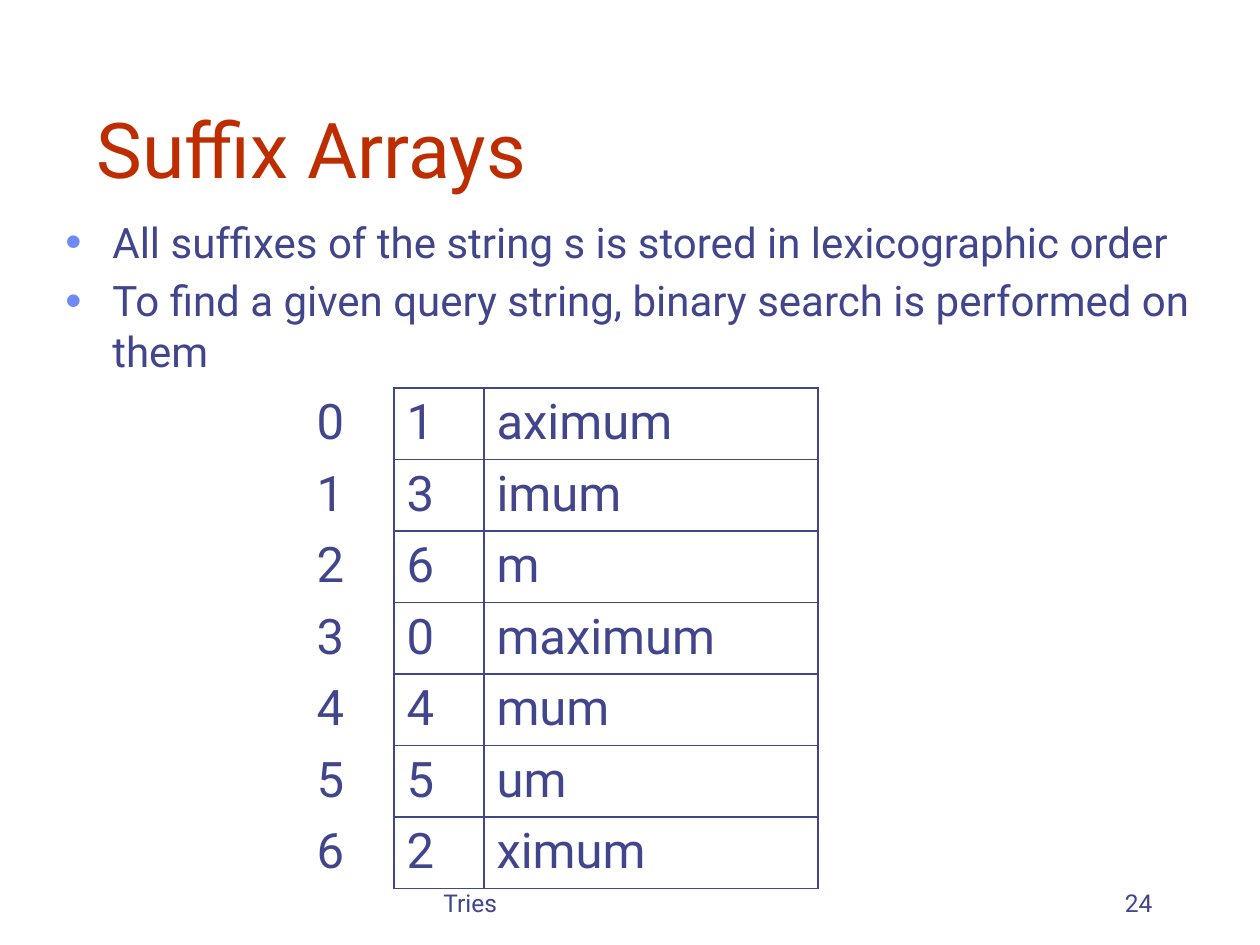
from lxml import etree
from pptx import Presentation
from pptx.dml.color import RGBColor
from pptx.enum.text import MSO_ANCHOR, MSO_AUTO_SIZE, PP_ALIGN
from pptx.oxml.ns import qn
from pptx.util import Pt

EMU_PER_PX = 914400 / 126
TITLE_ONLY = 5
LEFT, RIGHT = PP_ALIGN.LEFT, PP_ALIGN.RIGHT
TOP, BOTTOM = MSO_ANCHOR.TOP, MSO_ANCHOR.BOTTOM
FONT = "Roboto"
RED, INDIGO, BLUE = "BE2D00", "40458C", "6F89F7"

BULLETS = [
    "All sufﬁxes of the string s is stored in lexicographic order",
    "To ﬁnd a given query string, binary search is performed on them",
]
WORD = "maximum"
SUFFIX_STARTS = sorted(range(len(WORD)), key=lambda start: WORD[start:])


def px(length):
    return round(length * EMU_PER_PX)


def color(value):
    return RGBColor.from_string(value)


def set_attributes(target, values):
    for name, value in values.items():
        setattr(target, name, value)


def write_lines(frame, lines, size, ink=INDIGO, align=LEFT):
    """Fill a text frame with one formatted paragraph per line."""
    for index, line in enumerate(lines):
        paragraph = frame.add_paragraph() if index else frame.paragraphs[0]
        paragraph.alignment = align
        run = paragraph.add_run()
        run.text = line
        set_attributes(run.font, {"name": FONT, "size": Pt(size)})
        run.font.color.rgb = color(ink)


def add_text(slide, box, lines, size, anchor=TOP, align=LEFT):
    frame = slide.shapes.add_textbox(*map(px, box)).text_frame
    set_attributes(frame, {"word_wrap": True, "vertical_anchor": anchor})
    write_lines(frame, lines, size, align=align)
    return frame


def place_title(slide, box, text):
    title = slide.shapes.title
    set_attributes(title, dict(zip(("left", "top", "width", "height"), map(px, box))))
    set_attributes(title.text_frame, {
        "word_wrap": True,
        "auto_size": MSO_AUTO_SIZE.NONE,
        "vertical_anchor": BOTTOM,
    })
    write_lines(title.text_frame, [text], 44, RED)


def add_bullets(slide, box, lines):
    frame = add_text(slide, box, lines, 24)
    for paragraph in frame.paragraphs:
        paragraph.space_before = Pt(4.8)
        properties = paragraph._p.get_or_add_pPr()
        properties.set("marL", str(px(47)))
        properties.set("indent", str(px(-47)))
        bullet_color = etree.SubElement(properties, qn("a:buClr"))
        etree.SubElement(bullet_color, qn("a:srgbClr"), val=BLUE)
        etree.SubElement(properties, qn("a:buSzPct"), val="110000")
        etree.SubElement(properties, qn("a:buFont"), typeface="Arial")
        etree.SubElement(properties, qn("a:buChar"), char="•")


def set_borders(cell, drawn_sides):
    """Draw the named sides (L, R, T, B) and clear the others."""
    properties = cell._tc.get_or_add_tcPr()
    for position, side in enumerate("LRTB"):
        line = etree.Element(qn(f"a:ln{side}"), w=str(Pt(1)))
        if side in drawn_sides:
            fill = etree.SubElement(line, qn("a:solidFill"))
            etree.SubElement(fill, qn("a:srgbClr"), val=INDIGO)
        else:
            etree.SubElement(line, qn("a:noFill"))
        properties.insert(position, line)


def add_suffix_table(slide, box, column_widths):
    rows = [(rank, start, WORD[start:]) for rank, start in enumerate(SUFFIX_STARTS)]
    table = slide.shapes.add_table(len(rows), len(column_widths), *map(px, box)).table
    set_attributes(table, {"first_row": False, "horz_banding": False})
    for column, width in zip(table.columns, column_widths):
        column.width = px(width)
    for row_index, values in enumerate(rows):
        table.rows[row_index].height = px(box[3] / len(rows))
        for column_index, value in enumerate(values):
            cell = table.cell(row_index, column_index)
            cell.fill.background()
            write_lines(cell.text_frame, [str(value)], 28)
            set_borders(cell, "LRTB" if column_index else "R")


def build_suffix_slide(presentation):
    slide = presentation.slides.add_slide(presentation.slide_layouts[TITLE_ONLY])
    place_title(slide, (84, 42, 1071, 158), "Suffix Arrays")
    add_bullets(slide, (53, 210, 1166, 640), BULLETS)
    add_text(slide, (431, 861, 399, 63), ["Tries"], 14, BOTTOM)
    add_text(slide, (903, 861, 262, 63), ["24"], 14, BOTTOM, RIGHT)
    add_suffix_table(slide, (304, 388, 514, 490), (90, 90, 334))


def main():
    presentation = Presentation()
    set_attributes(presentation, {"slide_width": px(1260), "slide_height": px(945)})
    build_suffix_slide(presentation)
    presentation.save("out.pptx")


if __name__ == "__main__":
    main()
